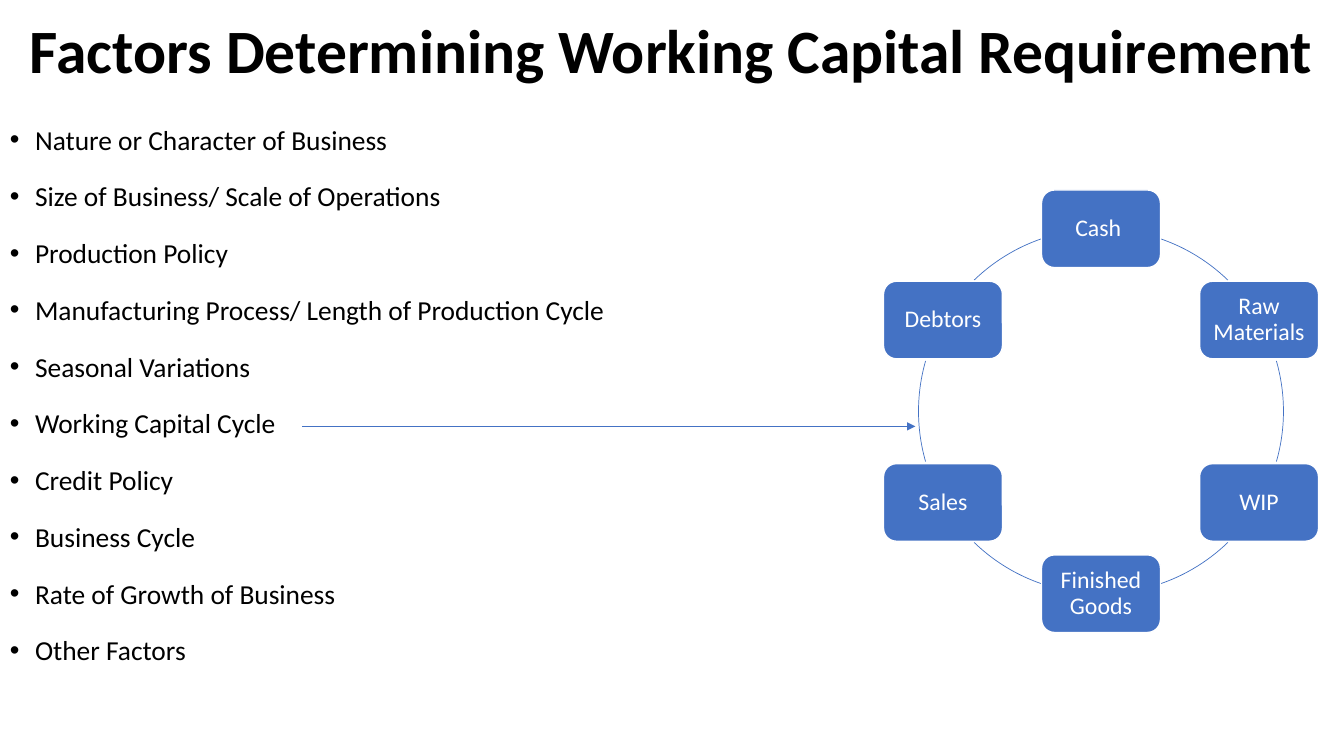
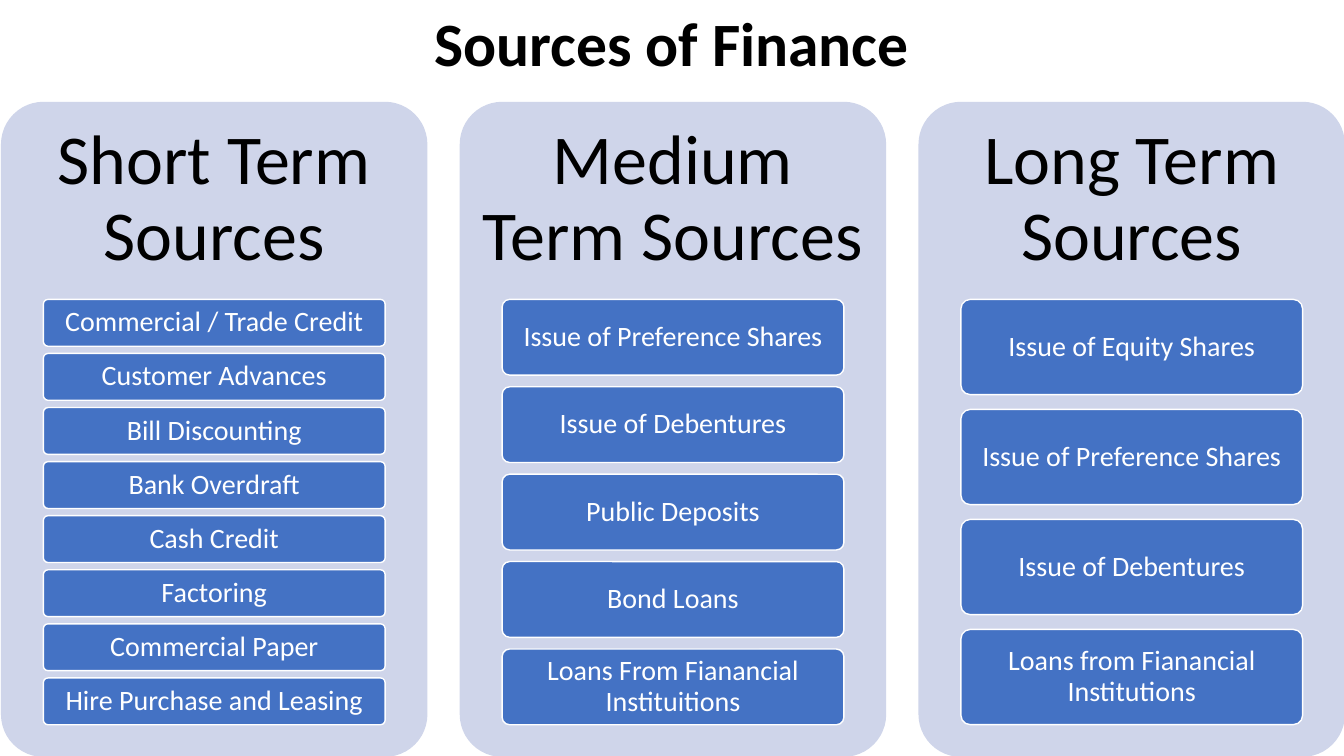
"""Build two slides on working capital and sources of finance."""
import math

import lxml.etree
import pptx
import pptx.dml.color
import pptx.enum.shapes
import pptx.enum.text
import pptx.oxml.ns
import pptx.util

Inches = pptx.util.Inches
Pt = pptx.util.Pt
RGBColor = pptx.dml.color.RGBColor
SHAPE = pptx.enum.shapes.MSO_SHAPE
ALIGN = pptx.enum.text.PP_ALIGN
ANCHOR = pptx.enum.text.MSO_ANCHOR
qn = pptx.oxml.ns.qn

BLUE = RGBColor(0x44, 0x72, 0xC4)
PALE = RGBColor(0xCF, 0xD5, 0xEA)
BLACK = RGBColor(0, 0, 0)
WHITE = RGBColor(0xFF, 0xFF, 0xFF)
FONT = "Calibri"
WIDTH, HEIGHT = 13.33, 7.5

FACTORS = [
    "Nature or Character of Business",
    "Size of Business/ Scale of Operations",
    "Production Policy",
    "Manufacturing Process/ Length of Production Cycle",
    "Seasonal Variations",
    "Working Capital Cycle",
    "Credit Policy",
    "Business Cycle",
    "Rate of Growth of Business",
    "Other Factors",
]
STAGES = ["Cash ", "Raw Materials", "WIP", "Finished Goods", "Sales", "Debtors"]
SOURCES = {
    "Short Term Sources": [
        "Commercial / Trade Credit", "Customer Advances", "Bill Discounting",
        "Bank Overdraft", "Cash Credit", "Factoring", "Commercial Paper",
        "Hire Purchase and Leasing",
    ],
    "Medium Term Sources": [
        "Issue of Preference Shares", "Issue of Debentures", "Public Deposits",
        "Bond Loans", "Loans From Fianancial Instituitions",
    ],
    "Long Term Sources": [
        "Issue of Equity Shares", "Issue of Preference Shares",
        "Issue of Debentures", "Loans from Fianancial Institutions",
    ],
}


def write(shape, *lines, size, color=BLACK, bold=False, align=ALIGN.CENTER,
          anchor=ANCHOR.MIDDLE, pad=(0.1, 0.05), lead=0.9, gap=0, bullet=None):
    """Fill a shape with formatted paragraphs."""
    frame = shape.text_frame
    frame.word_wrap = True
    frame.vertical_anchor = anchor
    frame.margin_left = frame.margin_right = Inches(pad[0])
    frame.margin_top = frame.margin_bottom = Inches(pad[1])
    for i, line in enumerate(lines):
        para = frame.add_paragraph() if i else frame.paragraphs[0]
        para.alignment = align
        para.line_spacing = lead
        if i:
            para.space_before = Pt(gap)
        if bullet:
            props = para._p.get_or_add_pPr()
            props.set("marL", str(Inches(0.25)))
            props.set("indent", str(-Inches(0.25)))
            lxml.etree.SubElement(props, qn("a:buFont"), typeface="Arial")
            lxml.etree.SubElement(props, qn("a:buChar"), char=bullet)
        run = para.add_run()
        run.text = line
        run.font.name = FONT
        run.font.size = Pt(size)
        run.font.bold = bold
        run.font.color.rgb = color


def add_box(slide, left, top, width, height):
    """Add an empty text box."""
    return slide.shapes.add_textbox(
        Inches(left), Inches(top), Inches(width), Inches(height))


def add_title(slide, text, height):
    """Add the bold title across the slide."""
    write(add_box(slide, 0, 0, WIDTH, height), text, size=44, bold=True)


def add_card(slide, left, top, width, height, fill=BLUE, edge=WHITE, curve=None):
    """Add a rounded rectangle."""
    card = slide.shapes.add_shape(
        SHAPE.ROUNDED_RECTANGLE,
        Inches(left), Inches(top), Inches(width), Inches(height))
    card.shadow.inherit = False
    card.fill.solid()
    card.fill.fore_color.rgb = fill
    if edge is None:
        card.line.fill.background()
    else:
        card.line.color.rgb = edge
        card.line.width = Pt(1)
    if curve is not None:
        card.adjustments[0] = curve
    return card


def add_arc(slide, left, top, size, start, end):
    """Add a thin arc between two clockwise angles in degrees."""
    arc = slide.shapes.add_shape(
        SHAPE.ARC, Inches(left), Inches(top), Inches(size), Inches(size))
    arc.shadow.inherit = False
    arc.fill.background()
    arc.line.color.rgb = BLUE
    arc.line.width = Pt(0.5)
    for i, angle in enumerate((start, end)):
        arc.adjustments[i] = angle % 360 * 0.6


def add_arrow(slide, left, right, top):
    """Add a thin level arrow that points right."""
    arrow = slide.shapes.add_connector(
        pptx.enum.shapes.MSO_CONNECTOR.STRAIGHT,
        Inches(left), Inches(top), Inches(right), Inches(top))
    arrow.line.color.rgb = BLUE
    arrow.line.width = Pt(0.5)
    props = arrow._element.spPr
    lxml.etree.SubElement(props.find(qn("a:ln")), qn("a:tailEnd"), type="triangle")
    lxml.etree.SubElement(props, qn("a:effectLst"))


def add_cycle(slide, mid_x, mid_y, radius):
    """Add the ring of stages, clockwise from the top."""
    width, height = 1.18, 0.77
    for start, end in ((-71, -46), (-16, 16), (46, 71)):
        for turn in (0, 180):
            add_arc(slide, mid_x - radius, mid_y - radius, 2 * radius,
                    start + turn, end + turn)
    for i, stage in enumerate(STAGES):
        angle = math.radians(360 / len(STAGES) * i - 90)
        card = add_card(slide,
                        mid_x + radius * math.cos(angle) - width / 2,
                        mid_y + radius * math.sin(angle) - height / 2,
                        width, height)
        write(card, stage, size=17, color=WHITE, pad=(0.07, 0.07))


def add_panel(slide, left, head, items):
    """Add a panel with a heading and equal cards that fill it."""
    top, width, inset = 1.01, 4.23, 0.42
    add_card(slide, left, top, width, 6.5, fill=PALE, edge=None, curve=0.1)
    write(add_box(slide, left, top, width, 1.95), head, size=50, pad=(0.21, 0.21))
    ratio, count = 0.154, len(items)
    height = 4.22 / (count + ratio * (count - 1))
    for i, item in enumerate(items):
        card = add_card(slide, left + inset, 2.97 + i * height * (1 + ratio),
                        width - 2 * inset, height, curve=0.1)
        write(card, item, size=20, color=WHITE, pad=(0.06, 0.04))


def add_factors(slide):
    """Build the slide on working capital factors."""
    add_title(slide, "Factors Determining Working Capital Requirement", 1.07)
    write(add_box(slide, 0, 1.07, 6.67, 6.43), *FACTORS, size=19.6,
          align=ALIGN.LEFT, anchor=ANCHOR.TOP, lead=1.3, gap=10, bullet="•")
    add_cycle(slide, 10.92, 4.08, 1.81)
    add_arrow(slide, 3, 9.08, 4.23)


def add_sources(slide):
    """Build the slide on sources of finance."""
    add_title(slide, "Sources of Finance", 0.92)
    for i, (head, items) in enumerate(SOURCES.items()):
        add_panel(slide, 0.01 + 4.55 * i, head, items)


def main():
    """Build and save the deck."""
    deck = pptx.Presentation()
    deck.slide_width = Inches(WIDTH)
    deck.slide_height = Inches(HEIGHT)
    for build in (add_factors, add_sources):
        build(deck.slides.add_slide(deck.slide_layouts[6]))
    deck.save("out.pptx")


if __name__ == "__main__":
    main()
